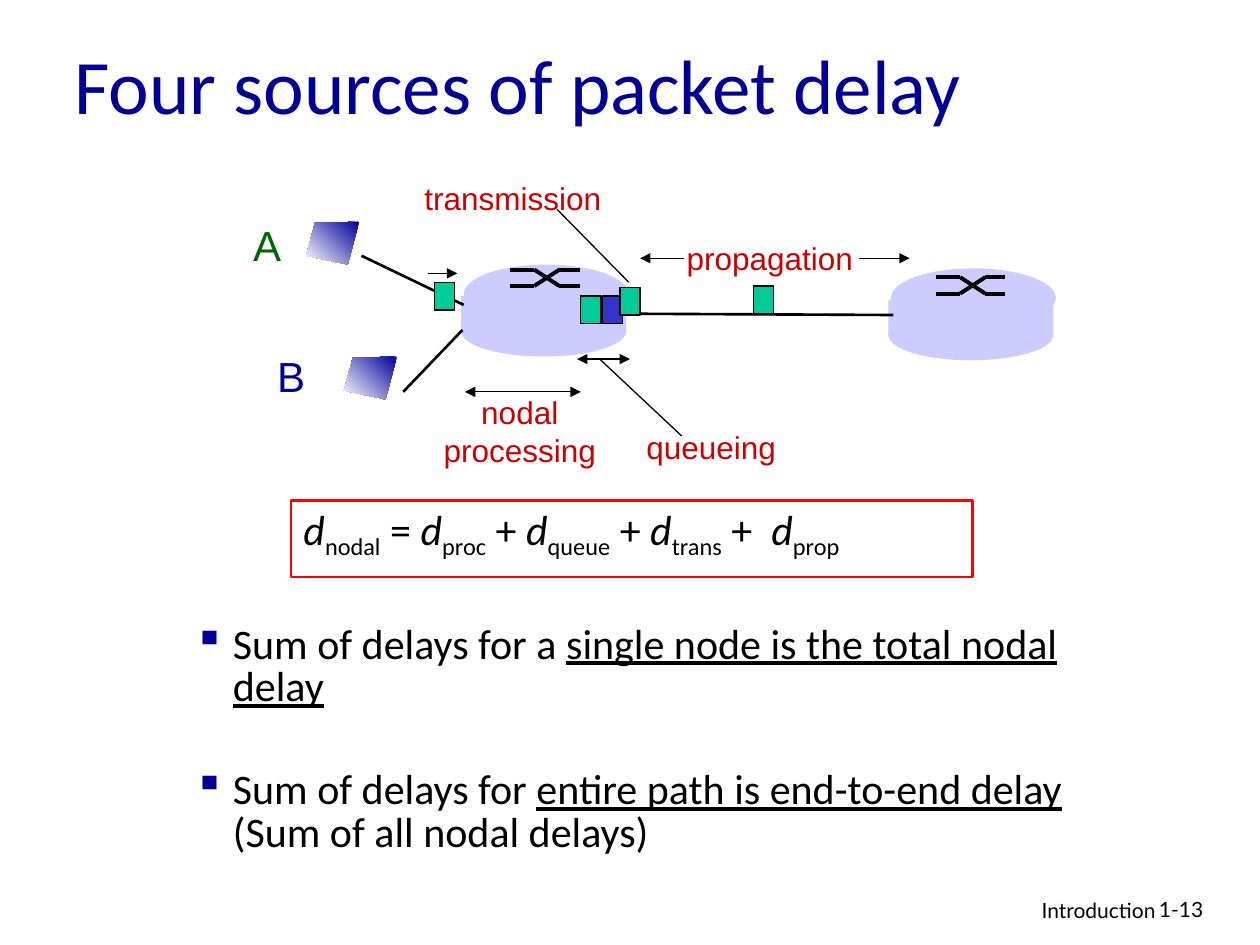
from lxml import etree
from pptx import Presentation
from pptx.dml.color import RGBColor
from pptx.enum.shapes import MSO_CONNECTOR as Connector, MSO_SHAPE as Preset
from pptx.enum.text import MSO_ANCHOR as Anchor, PP_ALIGN as Align
from pptx.oxml.ns import qn
from pptx.util import Inches, Pt

BLACK = RGBColor(0, 0, 0)
WHITE = RGBColor(255, 255, 255)
NAVY = RGBColor(0, 0, 0x99)
GREEN = RGBColor(0, 0x66, 0)
DARK_RED = RGBColor(0xCC, 0, 0)
RED = RGBColor(255, 0, 0)
LILAC = RGBColor(0xCC, 0xCC, 0xFF)
TEAL = RGBColor(0, 0xCC, 0x99)
BLUE = RGBColor(0x33, 0x33, 0xCC)


def add_span(para, text, size, color, font, italic=None, underline=None):
    span = para.add_run()
    span.text = text
    span.font.name = font
    span.font.size = Pt(size)
    span.font.color.rgb = color
    span.font.italic = italic
    span.font.underline = underline
    return span


def add_text(page, box, lines, size, color, font,
             align=Align.LEFT, anchor=Anchor.TOP, wrap=False):
    frame = page.shapes.add_textbox(*map(Inches, box)).text_frame
    frame.word_wrap = wrap
    frame.vertical_anchor = anchor
    for index, line in enumerate(lines):
        para = frame.add_paragraph() if index else frame.paragraphs[0]
        para.alignment = align
        add_span(para, line, size, color, font)


def add_shape(page, preset, box, fill=None, line=None, width=0.75):
    shape = page.shapes.add_shape(preset, *map(Inches, box))
    shape.shadow.inherit = False
    if fill is None:
        shape.fill.background()
    else:
        shape.fill.solid()
        shape.fill.fore_color.rgb = fill
    if line is None:
        shape.line.fill.background()
    else:
        shape.line.color.rgb = line
        shape.line.width = Pt(width)
    return shape


def add_line(page, start, end, width=0.75, arrows=()):
    line = page.shapes.add_connector(Connector.STRAIGHT, *map(Inches, start + end))
    line.line.color.rgb = BLACK
    line.line.width = Pt(width)
    for arrow in arrows:
        etree.SubElement(line.line._get_or_add_ln(), qn(f"a:{arrow}"), type="triangle")
    etree.SubElement(line._element.spPr, qn("a:effectLst"))


def add_router(page, left, top, switch_left, switch_top):
    add_shape(page, Preset.OVAL, (left, top + 0.33, 1.31, 0.4), LILAC)
    add_shape(page, Preset.RECTANGLE, (left, top + 0.25, 1.31, 0.29), LILAC)
    add_shape(page, Preset.OVAL, (left + 0.02, top, 1.31, 0.47), LILAC)
    stops = [switch_left + offset for offset in (0, 0.19, 0.39, 0.55)]
    high, low = switch_top, switch_top + 0.13
    for first, last in ((high, low), (low, high)):
        levels = (first, first, last, last)
        points = list(zip(stops, levels))
        for start, end in zip(points, points[1:]):
            add_line(page, start, end, 2.25)


def add_host(page, left, top):
    corners = [(0.42, 0), (0.07, 0.01), (0, 0.27), (0.33, 0.34)]
    points = [(Inches(left + x), Inches(top + y)) for x, y in corners]
    builder = page.shapes.build_freeform(*points[0])
    builder.add_line_segments(points[1:], close=True)
    host = builder.convert_to_shape()
    host.shadow.inherit = False
    host.line.fill.background()
    host.fill.gradient()
    host.fill.gradient_angle = 225
    for stop, color in zip(host.fill.gradient_stops, (NAVY, WHITE)):
        stop.color.rgb = color


def add_network(page):
    add_router(page, 3.66, 2.1, 4.05, 2.14)
    add_line(page, (7.06, 2.43), (7.06, 2.68), 1)
    add_router(page, 7.05, 2.13, 7.43, 2.2)
    for start, end in (((2.87, 2.03), (3.68, 2.42)),
                       ((3.2, 3.11), (3.67, 2.62)),
                       ((4.97, 2.49), (7.09, 2.5))):
        add_line(page, start, end, 1.5)
    for left, top, fill in ((5.98, 2.27, TEAL), (4.61, 2.35, TEAL), (4.78, 2.35, BLUE),
                            (3.45, 2.24, TEAL), (4.92, 2.28, TEAL)):
        add_shape(page, Preset.RECTANGLE, (left, top, 0.16, 0.22), fill, BLACK)
    add_host(page, 2.43, 1.76)
    add_host(page, 2.73, 2.83)


def add_labels(page):
    one_way, both_ways = ("tailEnd",), ("headEnd", "tailEnd")
    for start, end, arrows in (((3.4, 2.17), (3.63, 2.17), one_way),
                               ((6.82, 2.05), (7.22, 2.05), one_way),
                               ((5.43, 2.05), (5.08, 2.05), one_way),
                               ((4.61, 3.11), (3.69, 3.11), both_ways),
                               ((5, 2.85), (4.58, 2.85), both_ways),
                               ((4.42, 1.66), (4.99, 2.24), ()),
                               ((5.41, 3.46), (4.76, 2.85), ())):
        add_line(page, start, end, arrows=arrows)
    add_text(page, (1.91, 1.69, 0.42, 0.5), ["A"], 24, GREEN, "Arial")
    add_text(page, (2.1, 2.73, 0.42, 0.5), ["B"], 24, NAVY, "Arial")
    for box, lines in (((5.35, 1.85, 1.52, 0.4), ["propagation"]),
                       ((3.27, 1.37, 1.6, 0.4), ["transmission"]),
                       ((3.42, 3.07, 1.41, 0.7), ["nodal", "processing"]),
                       ((5.03, 3.35, 1.23, 0.4), ["queueing"])):
        add_text(page, box, lines, 18, DARK_RED, "Arial", Align.CENTER)


def add_formula(page, box):
    frame = add_shape(page, Preset.RECTANGLE, box, line=RED, width=1.5).text_frame
    frame.word_wrap = True
    frame.vertical_anchor = Anchor.TOP
    para = frame.paragraphs[0]
    para.alignment = Align.LEFT
    para.line_spacing = 0.85
    for term, operator in (("nodal", " = "), ("proc", " + "), ("queue", " + "),
                           ("trans", " +  "), ("prop", "")):
        add_span(para, "d", 24, BLACK, "Calibri", italic=True)
        subscript = add_span(para, term, 24, BLACK, "Calibri")
        subscript.font._element.set("baseline", "-25000")
        if operator:
            add_span(para, operator, 24, BLACK, "Calibri")


def add_bullets(page, box, bullets):
    frame = page.shapes.add_textbox(*map(Inches, box)).text_frame
    frame.word_wrap = True
    for index, parts in enumerate(bullets):
        para = frame.add_paragraph() if index else frame.paragraphs[0]
        para.line_spacing = 0.85
        if index:
            para.space_before = Pt(34)
        props = para._p.get_or_add_pPr()
        props.set("marL", str(Inches(0.81)))
        props.set("indent", str(Inches(-0.31)))
        color = etree.SubElement(props, qn("a:buClr"))
        etree.SubElement(color, qn("a:srgbClr"), val=str(NAVY))
        etree.SubElement(props, qn("a:buChar"), char="▪")
        for text, underline in parts:
            add_span(para, text, 24, BLACK, "Calibri", underline=underline)


def add_footer(page):
    add_text(page, (6.1, 7.07, 3.17, 0.31), ["Introduction"], 12, BLACK, "Lato",
             Align.RIGHT, wrap=True)
    add_text(page, (9.1, 7.07, 0.74, 0.3), ["1-13"], 12, BLACK, "Lato", wrap=True)


def main():
    deck = Presentation()
    deck.slide_width, deck.slide_height = Inches(10), Inches(7.5)
    page = deck.slides.add_slide(deck.slide_layouts[6])
    add_text(page, (0.49, 0.22, 8.5, 0.89), ["Four sources of packet delay"], 44, NAVY,
             "Calibri", anchor=Anchor.MIDDLE, wrap=True)
    add_network(page)
    add_labels(page)
    add_formula(page, (2.31, 3.97, 5.41, 0.61))
    add_bullets(page, (0.94, 4.91, 8.29, 1.79), [
        [("Sum of delays for a ", None), ("single node is the total nodal delay", True)],
        [("Sum of delays for ", None), ("entire path is end-to-end delay", True),
         (" (Sum of all nodal delays)", None)],
    ])
    add_footer(page)
    deck.save("out.pptx")


if __name__ == "__main__":
    main()
